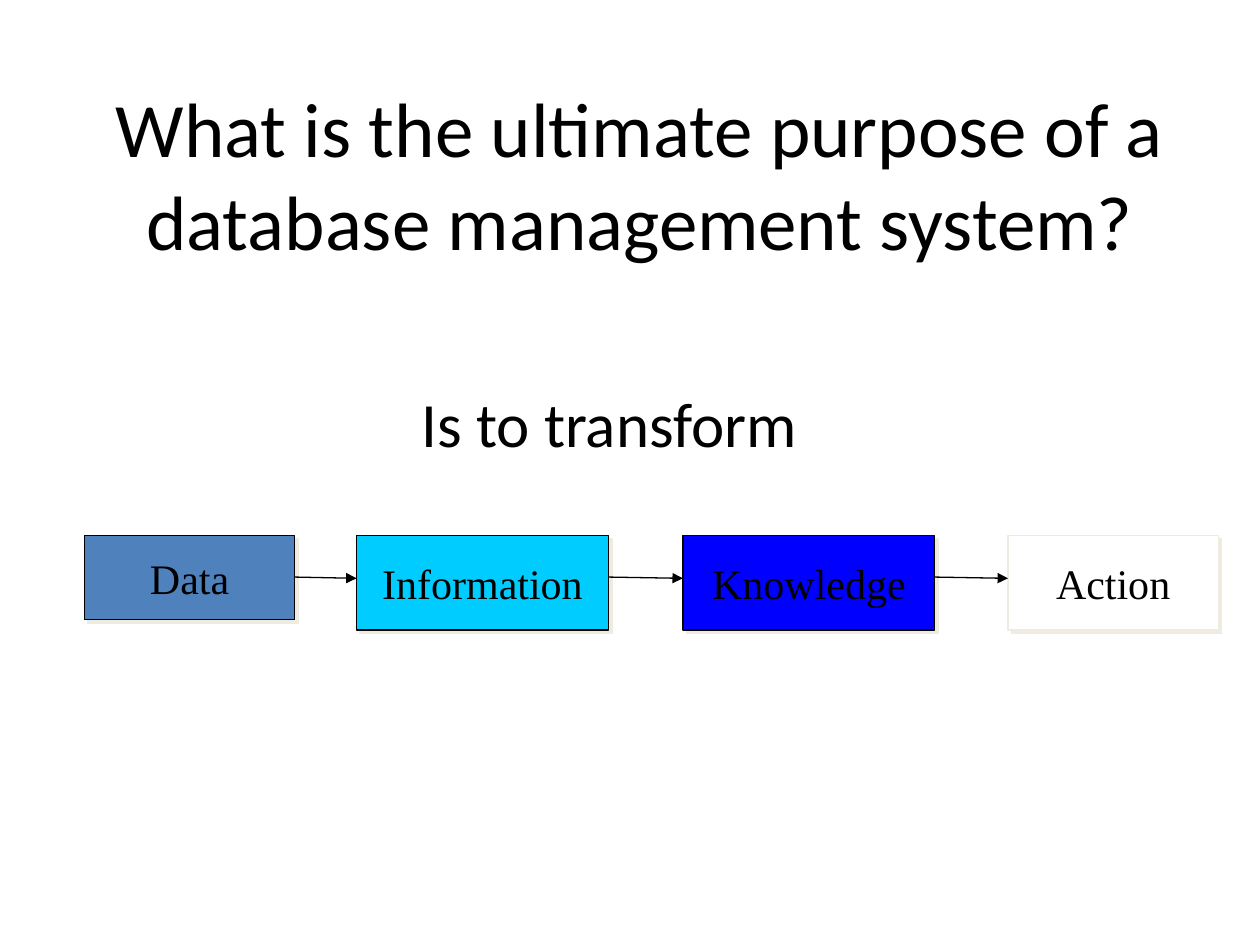
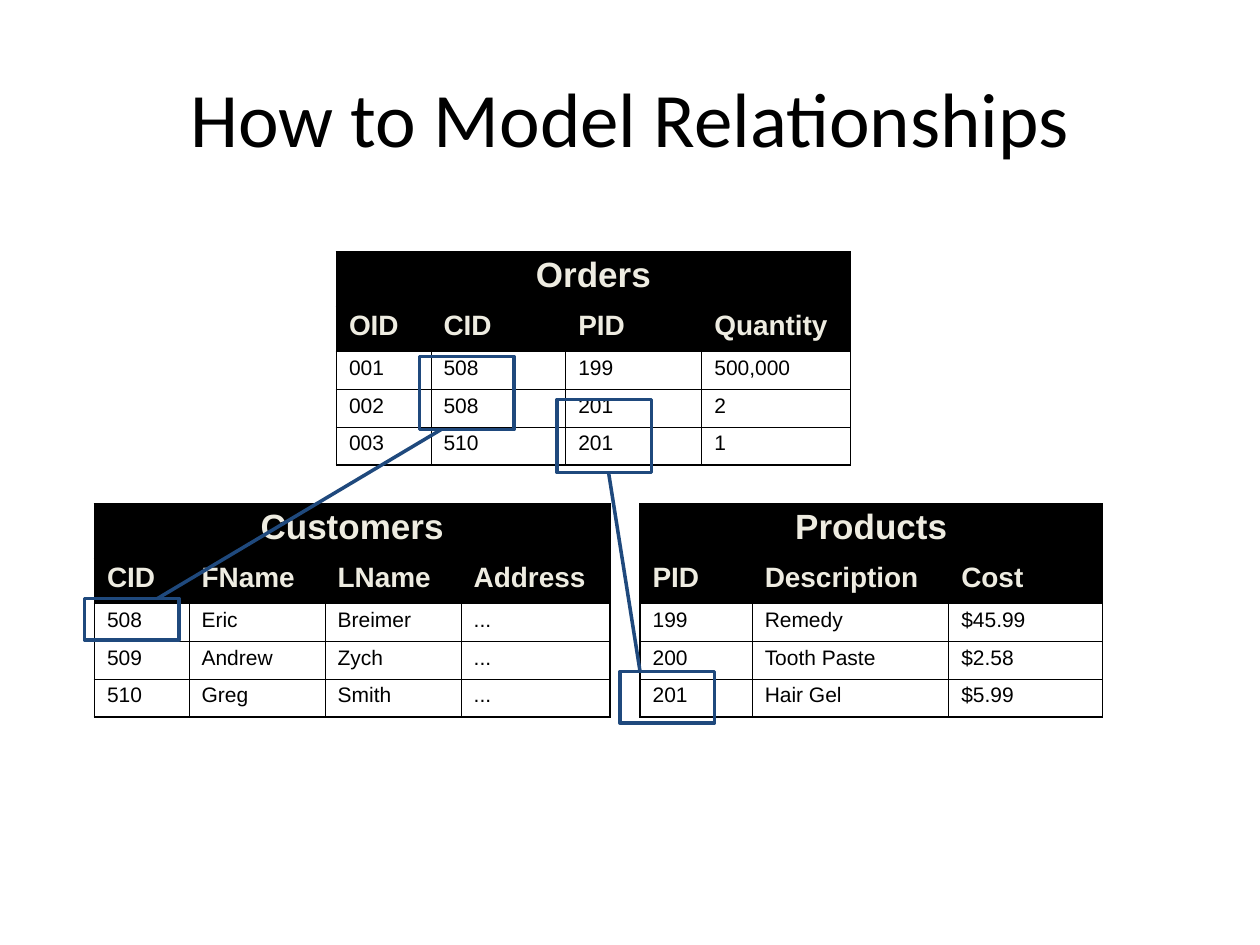
"""Build two slides on databases: their purpose, and relationships between tables."""
import dataclasses

import lxml.etree
import pptx
import pptx.dml.color
import pptx.enum.shapes
import pptx.enum.text
import pptx.oxml.ns
import pptx.util

Inches = pptx.util.Inches
Pt = pptx.util.Pt
RGB = pptx.dml.color.RGBColor.from_string
ALIGN = pptx.enum.text.PP_ALIGN
ANCHOR = pptx.enum.text.MSO_ANCHOR
RECT = pptx.enum.shapes.MSO_SHAPE.RECTANGLE
STRAIGHT = pptx.enum.shapes.MSO_CONNECTOR.STRAIGHT
qn = pptx.oxml.ns.qn


@dataclasses.dataclass(frozen=True)
class Theme:
    black: str = "000000"
    white: str = "FFFFFF"
    cream: str = "EEECE1"
    blue: str = "4F81BD"
    cyan: str = "00CCFF"
    deep_blue: str = "0000FF"
    navy: str = "1F497D"
    title_font: str = "Calibri"
    box_font: str = "Times New Roman"
    table_font: str = "Arial"
    title_size: int = 44
    lead_size: int = 36
    box_size: int = 24
    table_title_size: int = 20
    heading_size: int = 16
    cell_size: int = 12
    thin: float = 0.45
    thick: float = 1.08
    box_line: float = 0.75
    link_line: float = 2


T = Theme()


def write(tf, text, font=T.title_font, size=T.title_size, color=T.black,
          bold=False, align=ALIGN.CENTER, anchor=ANCHOR.MIDDLE, wrap=True, spacing=None):
    tf.word_wrap = wrap
    tf.vertical_anchor = anchor
    p = tf.paragraphs[0]
    p.alignment = align
    p.line_spacing = spacing
    r = p.add_run()
    r.text = text
    r.font.name = font
    r.font.size = Pt(size)
    r.font.bold = bold
    r.font.color.rgb = RGB(color)


def link(shapes, start, end, color, width, arrow=False):
    line = shapes.add_connector(STRAIGHT, *map(Inches, start + end))
    line.line.color.rgb = RGB(color)
    line.line.width = Pt(width)
    props = line._element.spPr
    lxml.etree.SubElement(props, qn("a:effectLst"))
    if arrow:
        lxml.etree.SubElement(props.find(qn("a:ln")), qn("a:tailEnd"), type="triangle")


prs = pptx.Presentation()
prs.slide_width, prs.slide_height = Inches(10), Inches(7.5)

titles = [
    ("What is the ultimate purpose of a database management system?", 0.58, 0.75),
    ("How to Model Relationships", 0.5, 0.3),
]
slides = []
for text, left, top in titles:
    s = prs.slides.add_slide(prs.slide_layouts[6])
    sp = s.shapes.add_textbox(Inches(left), Inches(top), Inches(9), Inches(1.25))
    write(sp.text_frame, text)
    slides.append(s)
purpose, relations = slides

steps = [
    ("Data", 0.67, 1.67, 0.67, T.blue, T.black),
    ("Information", 2.83, 2, 0.75, T.cyan, T.black),
    ("Knowledge", 5.42, 2, 0.75, T.deep_blue, T.black),
    ("Action", 8, 1.67, 0.75, T.white, T.cream),
]
for text, left, width, height, fill, outline in steps:
    sp = purpose.shapes.add_shape(RECT, Inches(left), Inches(4.25), Inches(width), Inches(height))
    sp.fill.solid()
    sp.fill.fore_color.rgb = RGB(fill)
    sp.line.color.rgb = RGB(outline)
    sp.line.width = Pt(T.box_line)
    sp.shadow.inherit = False
    effects = sp._element.spPr.find(qn("a:effectLst"))
    shadow = lxml.etree.SubElement(effects, qn("a:outerShdw"), dist=str(Pt(2.8)), dir="2700000",
                                   algn="ctr", rotWithShape="0")
    lxml.etree.SubElement(shadow, qn("a:srgbClr"), val=T.cream)
    write(sp.text_frame, text, font=T.box_font, size=T.box_size, wrap=False)

for step, following in zip(steps, steps[1:]):
    link(purpose.shapes, (step[1] + step[2], 4.58), (following[1], 4.59),
         T.black, T.box_line, arrow=True)

sp = purpose.shapes.add_textbox(Inches(2.5), Inches(3), Inches(4.67), Inches(0.7))
write(sp.text_frame, "Is to transform", size=T.lead_size, anchor=ANCHOR.TOP)

row_heights = [0.43, 0.36, 0.3, 0.3, 0.3]
tables = [
    ("Customers", 0.75, 4, [0.75, 1.08, 1.08, 1.18], [
        ["CID", "FName", "LName", "Address"],
        ["508", "Eric", "Breimer", "..."],
        ["509", "Andrew", "Zych", "..."],
        ["510", "Greg", "Smith", "..."]]),
    ("Products", 5.08, 4, [0.89, 1.56, 1.22], [
        ["PID", "Description", "Cost"],
        ["199", "Remedy", "$45.99"],
        ["200", "Tooth Paste", "$2.58"],
        ["201", "Hair Gel", "$5.99"]]),
    ("Orders", 2.67, 2, [0.75, 1.07, 1.08, 1.18], [
        ["OID", "CID", "PID", "Quantity"],
        ["001", "508", "199", "500,000"],
        ["002", "508", "201", "2"],
        ["003", "510", "201", "1"]]),
]
for name, left, top, widths, rows in tables:
    n_rows, n_cols = len(row_heights), len(widths)
    table = relations.shapes.add_table(n_rows, n_cols, Inches(left), Inches(top),
                                       Inches(sum(widths)), Inches(sum(row_heights))).table
    table.first_row = table.horz_banding = False
    for column, width in zip(table.columns, widths):
        column.width = Inches(width)
    for row, height in zip(table.rows, row_heights):
        row.height = Inches(height)
    table.cell(0, 0).merge(table.cell(0, n_cols - 1))

    for i, texts in enumerate([[name] + [""] * (n_cols - 1)] + rows):
        for j, text in enumerate(texts):
            cell = table.cell(i, j)
            outer = {"lnL": j == 0, "lnR": i == 0 or j == n_cols - 1,
                     "lnT": i == 0, "lnB": i == n_rows - 1}
            for tag, is_outer in outer.items():
                border = lxml.etree.SubElement(cell._tc.get_or_add_tcPr(), qn("a:" + tag),
                                               w=str(Pt(T.thick if is_outer else T.thin)))
                fill = lxml.etree.SubElement(border, qn("a:solidFill"))
                lxml.etree.SubElement(fill, qn("a:srgbClr"), val=T.black)
            header = i < 2
            if header:
                cell.fill.solid()
                cell.fill.fore_color.rgb = RGB(T.black)
            else:
                cell.fill.background()
            if text:
                write(cell.text_frame, text, font=T.table_font,
                      size=(T.table_title_size, T.heading_size, T.cell_size)[min(i, 2)],
                      color=T.cream if header else T.black, bold=header,
                      align=ALIGN.CENTER if i == 0 else ALIGN.LEFT,
                      anchor=ANCHOR.TOP, spacing=0.93)

key_links = [
    ([(3.33, 2.83, 0.58), (0.67, 4.75, 0.33)], (1.25, 4.75), (3.5, 3.41)),
    ([(4.42, 3.17, 0.58), (4.92, 5.33, 0.41)], (5.08, 5.33), (4.83, 3.75)),
]
for frames, start, end in key_links:
    group = relations.shapes.add_group_shape()
    for left, top, height in frames:
        sp = group.shapes.add_shape(RECT, Inches(left), Inches(top), Inches(0.75), Inches(height))
        sp.shadow.inherit = False
        sp.fill.background()
        sp.line.color.rgb = RGB(T.navy)
        sp.line.width = Pt(T.link_line)
    link(group.shapes, start, end, T.navy, T.link_line)

prs.save("out.pptx")
